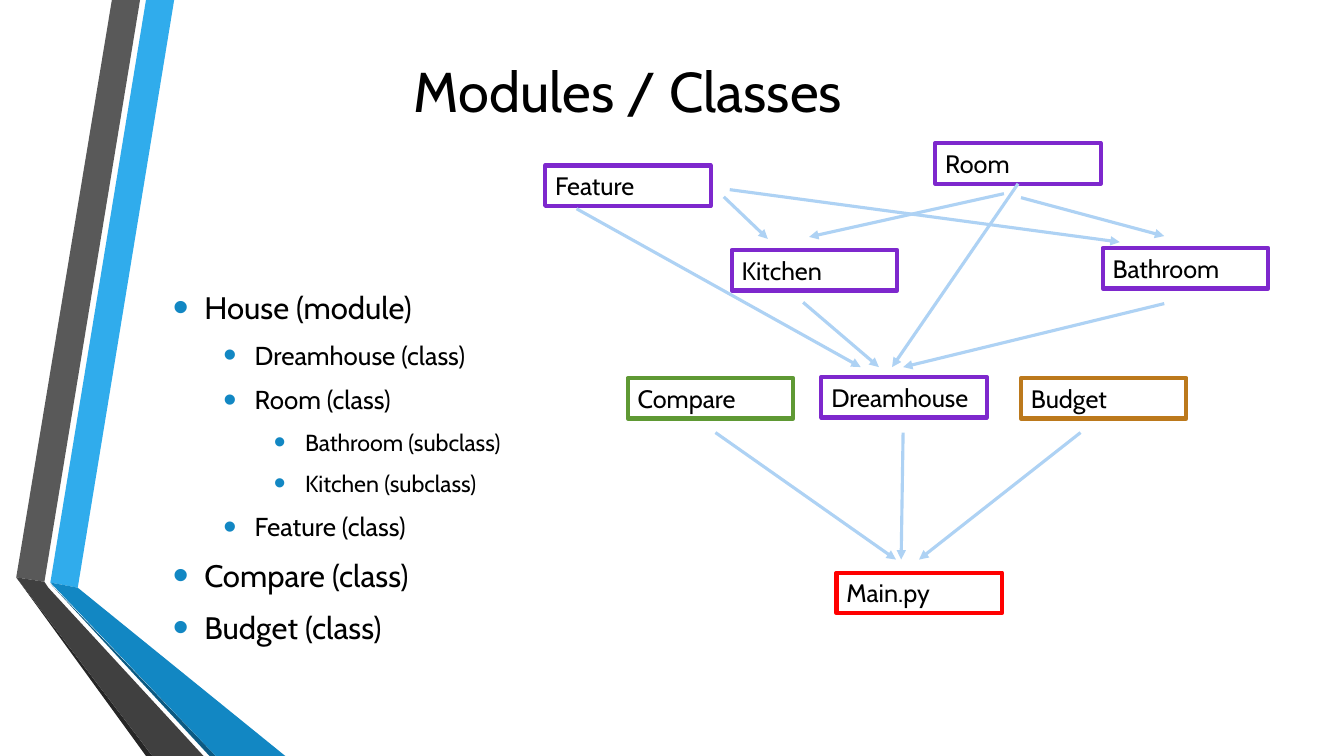
from pptx import Presentation
from pptx.dml.color import RGBColor
from pptx.enum.shapes import MSO_CONNECTOR as Link, MSO_SHAPE as Shape
from pptx.enum.text import MSO_ANCHOR as Anchor, MSO_AUTO_SIZE as Fit, PP_ALIGN as Align
from pptx.oxml.ns import qn
from pptx.util import Cm, Pt
from lxml.etree import SubElement

FONT = "Cabin"
BLACK, WHITE = "000000", "FFFFFF"
PURPLE, GREEN, OCHRE, RED = "7E28CD", "5F9934", "BC791C", "FF0000"
ARROW, BULLET = "AED2F4", "1287C3"
NODE_WIDTH, NODE_HEIGHT = 4.17, 1.02

RIBBONS = [
    ("30ACEC", [(1.27, 14.68), (1.96, 14.81), (4.39, 0), (3.68, 0)]),
    ("595959", [(3.53, 0), (2.82, 0), (0.41, 14.55), (1.12, 14.66)]),
    ("262626", [(0.41, 14.55), (3.68, 19.05), (3.84, 19.05)]),
    ("0C5A82", [(1.27, 14.71), (5.28, 19.05), (5.44, 19.05)]),
    ("1287C3", [(1.27, 14.68), (5.44, 19.05), (7.19, 19.05), (1.96, 14.81)]),
    ("404040", [(5.13, 19.05), (1.22, 14.81), (1.12, 14.66), (0.41, 14.55), (3.84, 19.05)]),
]
OUTLINE = [
    (0, "House (module)"),
    (1, "Dreamhouse (class)"),
    (1, "Room (class)"),
    (2, "Bathroom (subclass)"),
    (2, "Kitchen (subclass)"),
    (1, "Feature (class)"),
    (0, "Compare (class)"),
    (0, "Budget (class)"),
]
LEVEL_SIZES = [22.2, 18.5, 16.6]
NODES = [
    ("Dreamhouse", 6.96, 5.89, PURPLE),
    ("Main.py", 7.34, 10.82, RED),
    ("Room", 9.83, 0, PURPLE),
    ("Kitchen", 4.7, 2.69, PURPLE),
    ("Bathroom", 14.05, 2.64, PURPLE),
    ("Feature", 0, 0.56, PURPLE),
    ("Compare", 2.08, 5.92, GREEN),
    ("Budget", 11.99, 5.92, OCHRE),
]
ARROWS = [
    ((0.79, 1.65), (7.95, 5.64)),
    ((15.6, 4.04), (9.02, 5.64)),
    ((11.56, 1.27), (6.65, 2.36)),
    ((6.5, 4.01), (8.41, 5.64)),
    ((4.29, 7.29), (8.84, 10.49)),
    ((9.02, 7.29), (8.97, 10.49)),
    ((13.49, 7.29), (9.42, 10.49)),
    ((11.99, 1.37), (15.6, 2.34)),
    ((4.5, 1.35), (5.61, 2.41)),
    ((4.65, 1.17), (14.48, 2.49)),
]


def color(value):
    """Turn a hex string into a colour."""
    return RGBColor.from_string(value)


def add_span(para, text, size):
    """Add one run of black text to a paragraph."""
    span = para.add_run()
    span.text = text
    span.font.name = FONT
    span.font.size = Pt(size)
    span.font.color.rgb = color(BLACK)


def add_frame(page, box):
    """Add a wrapping, vertically centred text box and return its frame."""
    frame = page.shapes.add_textbox(*map(Cm, box)).text_frame
    frame.word_wrap = True
    frame.vertical_anchor = Anchor.MIDDLE
    return frame


def add_ribbons(page, box):
    """Draw the folded ribbons from the top left corner of the box."""
    left, top = box[:2]
    for fill, points in RIBBONS:
        corners = [(Cm(left + x), Cm(top + y)) for x, y in points]
        builder = page.shapes.build_freeform(*corners[0])
        builder.add_line_segments(corners[1:], close=True)
        ribbon = builder.convert_to_shape()
        ribbon.shadow.inherit = False
        ribbon.fill.solid()
        ribbon.fill.fore_color.rgb = color(fill)
        ribbon.line.fill.background()


def add_title(page, box):
    """Write the centred title in the box."""
    para = add_frame(page, box).paragraphs[0]
    para.alignment = Align.CENTER
    add_span(para, "Modules / Classes ", 40)


def add_bullet(para, level):
    """Give a paragraph its indent and its large blue bullet."""
    para.level = level
    props = para._p.get_or_add_pPr()
    props.set("marL", str(Cm(0.79 + 1.27 * level)))
    props.set("indent", str(-Cm(0.79)))
    SubElement(SubElement(props, qn("a:buClr")), qn("a:srgbClr"), val=BULLET)
    SubElement(props, qn("a:buSzPct"), val="145000")
    SubElement(props, qn("a:buFont"), typeface="Arial")
    SubElement(props, qn("a:buChar"), char="•")


def add_outline(page, box):
    """Write the bulleted outline of modules and classes in the box."""
    frame = add_frame(page, box)
    for index, (level, text) in enumerate(OUTLINE):
        para = frame.add_paragraph() if index else frame.paragraphs[0]
        size = LEVEL_SIZES[level]
        para.space_before = Pt(size * 0.2)
        para.space_after = Pt(6)
        add_bullet(para, level)
        add_span(para, text, size)


def add_node(page, box, text, outline):
    """Draw one outlined class box with its name."""
    node = page.shapes.add_shape(Shape.RECTANGLE, *map(Cm, box))
    node.shadow.inherit = False
    node.fill.background()
    node.line.color.rgb = color(outline)
    node.line.width = Pt(3)
    frame = node.text_frame
    frame.word_wrap = True
    frame.auto_size = Fit.SHAPE_TO_FIT_TEXT
    frame.vertical_anchor = Anchor.TOP
    para = frame.paragraphs[0]
    para.alignment = Align.LEFT
    add_span(para, text, 18)
    return node


def add_arrow(page, start, end):
    """Draw one light blue arrow between two points."""
    arrow = page.shapes.add_connector(Link.STRAIGHT, *map(Cm, start + end))
    arrow.line.color.rgb = color(ARROW)
    arrow.line.width = Pt(2.25)
    SubElement(arrow.line._get_or_add_ln(), qn("a:tailEnd"), type="triangle")
    SubElement(arrow._element.spPr, qn("a:effectLst"))
    return arrow


def add_diagram(page, box):
    """Draw the class boxes and their arrows from the top left of the box."""
    left, top = box[:2]

    def shift(point):
        """Move a point of the diagram to its place on the page."""
        return left + point[0], top + point[1]

    nodes = {}
    for text, x, y, outline in NODES:
        place = shift((x, y)) + (NODE_WIDTH, NODE_HEIGHT)
        nodes[text] = add_node(page, place, text, outline)
    for start, end in ARROWS:
        add_arrow(page, shift(start), shift(end))
    room_arrow = add_arrow(page, shift((11.91, 1.02)), shift((8.74, 5.64)))
    room_arrow.begin_connect(nodes["Room"], 2)


def main():
    """Build the slide and save the deck."""
    deck = Presentation()
    deck.slide_width, deck.slide_height = Cm(33.87), Cm(19.05)
    page = deck.slides.add_slide(deck.slide_layouts[6])
    page.background.fill.solid()
    page.background.fill.fore_color.rgb = color(WHITE)
    add_ribbons(page, (0, 0, 7.19, 19.05))
    add_title(page, (2.06, 1.09, 27.84, 2.36))
    add_outline(page, (4.11, 7.42, 9.27, 8.69))
    add_diagram(page, (13.74, 3.61, 18.22, 11.84))
    deck.save("out.pptx")


if __name__ == "__main__":
    main()
